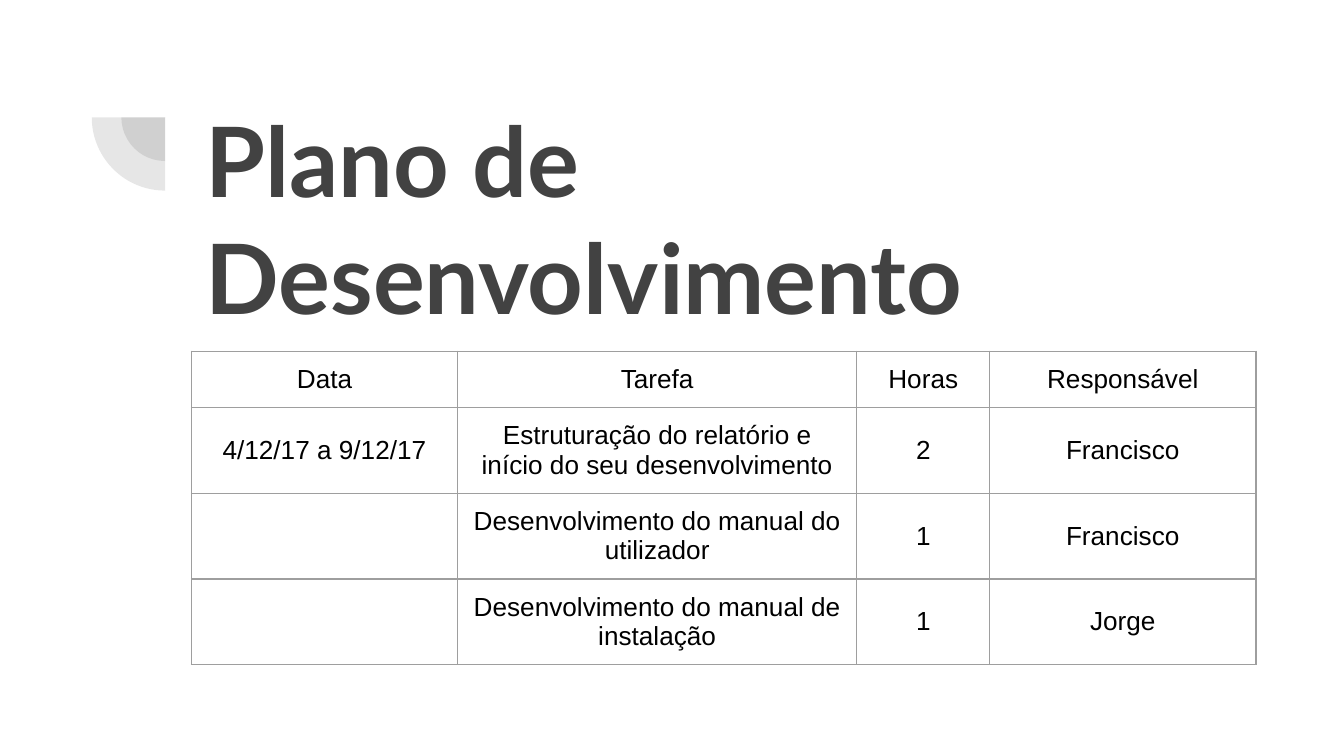
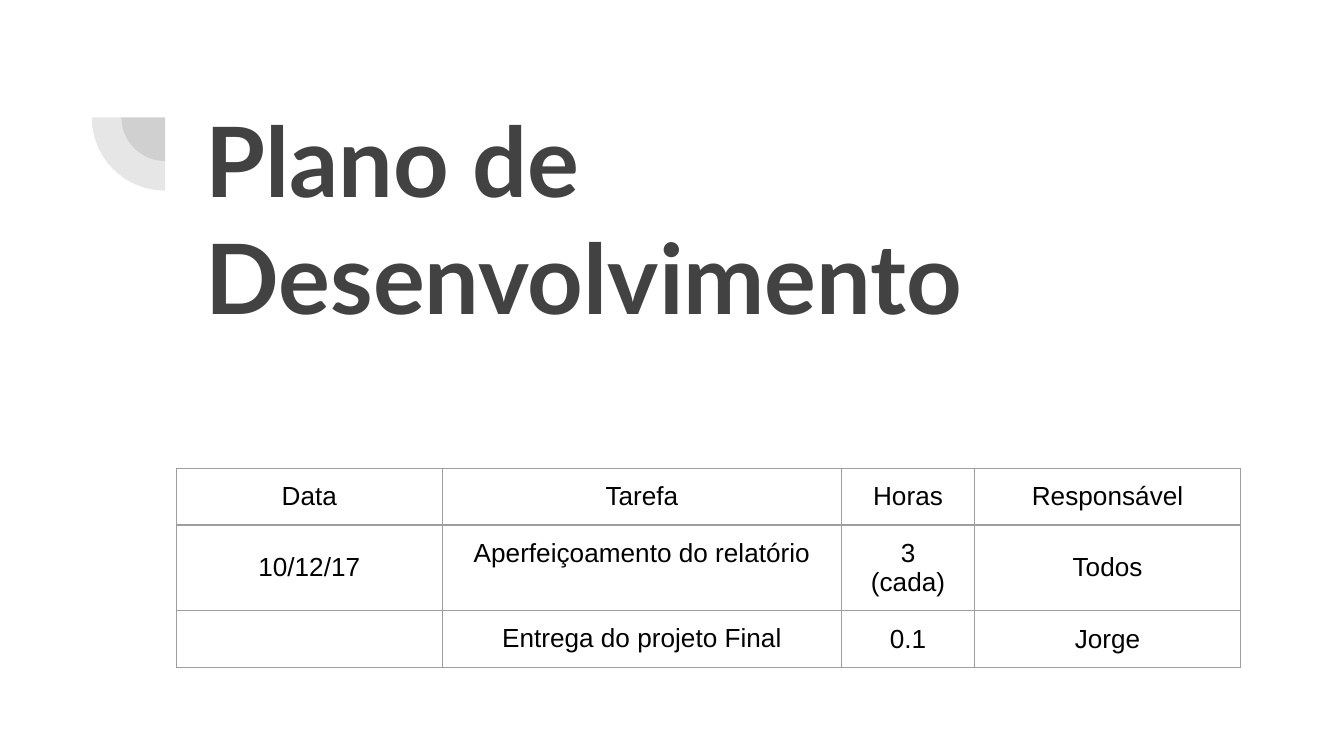
import pptx
import pptx.dml.color
import pptx.enum.shapes
import pptx.enum.text
import pptx.oxml
import pptx.oxml.ns
import pptx.util

INK = pptx.dml.color.RGBColor(0x42, 0x42, 0x42)
BLACK = pptx.dml.color.RGBColor(0x00, 0x00, 0x00)
RULE_GREY = pptx.dml.color.RGBColor(0x9E, 0x9E, 0x9E)
TITLE_FONT = "Lato"
TABLE_FONT = "Arial"

# The 16:9 slide is a grid of 100 columns; rows are as tall as columns are wide
SLIDE_COLUMNS, SLIDE_ROWS = 100, 56.25
UNIT = pptx.util.Inches(0.1)
INSET = UNIT

TITLE_BOX = (14.3, 6.5, 76.9, 10.9)
FAN_CENTRE = (12.28, 8.73)
FAN_DIAMETERS = (6.5, 10.9)
FAN_OPACITY = 13
TABLE_WIDTH = 79.2
COLUMN_SHARES = (2, 3, 1, 2)
ROW_HEIGHT = 4.2
TASK_COLUMN = 1

HEADER = ("Data", "Tarefa", "Horas", "Responsável")
PLANS = [
    ((14.25, 26.13), [
        ("4/12/17 a 9/12/17",
         "Estruturação do relatório e início do seu desenvolvimento",
         "2", "Francisco"),
        ("", "Desenvolvimento do manual do utilizador", "1", "Francisco"),
        ("", "Desenvolvimento do manual de instalação", "1", "Jorge"),
    ]),
    ((13.12, 34.87), [
        ("10/12/17", "Aperfeiçoamento do relatório", "3\n(cada)", "Todos"),
        ("", "Entrega do projeto Final", "0.1", "Jorge"),
    ]),
]


def grid(*counts):
    return [pptx.util.Emu(round(count * UNIT)) for count in counts]


def set_insets(holder):
    holder.margin_left = holder.margin_right = INSET
    holder.margin_top = holder.margin_bottom = INSET


def style_font(font, name, size, color, bold):
    font.name = name
    font.size = pptx.util.Pt(size)
    font.color.rgb = color
    font.bold = bold


def add_fan(slide, centre):
    """Two translucent quarter discs that share a centre."""
    for diameter in FAN_DIAMETERS:
        left, top = (place - diameter / 2 for place in centre)
        quarter = slide.shapes.add_shape(
            pptx.enum.shapes.MSO_SHAPE.PIE, *grid(left, top, diameter, diameter))
        quarter.adjustments[0] = 108
        quarter.adjustments[1] = 162
        quarter.rotation = 270
        quarter.shadow.inherit = False
        quarter.line.fill.background()
        quarter.fill.solid()
        quarter.fill.fore_color.rgb = INK
        color = quarter.fill._xPr.find(".//" + pptx.oxml.ns.qn("a:srgbClr"))
        color.append(pptx.oxml.parse_xml(
            f'<a:alpha {pptx.oxml.ns.nsdecls("a")} val="{FAN_OPACITY * 1000}"/>'))


def fill_title(slide, box, wording):
    title = slide.shapes.title
    title.left, title.top, title.width, title.height = grid(*box)
    frame = title.text_frame
    frame.text = wording
    frame.word_wrap = True
    frame.auto_size = pptx.enum.text.MSO_AUTO_SIZE.NONE
    frame.vertical_anchor = pptx.enum.text.MSO_ANCHOR.TOP
    set_insets(frame)
    heading = frame.paragraphs[0]
    heading.alignment = pptx.enum.text.PP_ALIGN.LEFT
    style_font(heading.font, TITLE_FONT, 52, INK, True)


def rule_cell(cell):
    """Draw a thin grey line on all four sides."""
    properties = cell._tc.get_or_add_tcPr()
    for position, side in enumerate(("lnL", "lnR", "lnT", "lnB")):
        properties.insert(position, pptx.oxml.parse_xml(
            f'<a:{side} {pptx.oxml.ns.nsdecls("a")} w="{pptx.util.Pt(0.75)}">'
            f'<a:solidFill><a:srgbClr val="{RULE_GREY}"/></a:solidFill></a:{side}>'))


def fill_cell(cell, wording, anchor):
    cell.text = wording
    cell.fill.background()
    cell.vertical_anchor = anchor
    set_insets(cell)
    rule_cell(cell)
    for paragraph in cell.text_frame.paragraphs:
        paragraph.alignment = pptx.enum.text.PP_ALIGN.CENTER
        style_font(paragraph.font, TABLE_FONT, 14, BLACK, False)


def add_plan(slide, corner, tasks):
    entries = [HEADER, *tasks]
    plan = slide.shapes.add_table(
        len(entries), len(HEADER),
        *grid(*corner, TABLE_WIDTH, ROW_HEIGHT * len(entries))).table
    plan.first_row = plan.horz_banding = False
    for column, share in zip(plan.columns, COLUMN_SHARES):
        column.width, = grid(TABLE_WIDTH * share / sum(COLUMN_SHARES))
    for row, entry in enumerate(entries):
        for column, wording in enumerate(entry):
            at_top = row == 0 or column == TASK_COLUMN
            anchor = (pptx.enum.text.MSO_ANCHOR.TOP if at_top
                      else pptx.enum.text.MSO_ANCHOR.MIDDLE)
            fill_cell(plan.cell(row, column), wording, anchor)


def add_plan_slide(deck, corner, tasks):
    slide = deck.slides.add_slide(deck.slide_layouts[5])
    add_fan(slide, FAN_CENTRE)
    fill_title(slide, TITLE_BOX, "Plano de Desenvolvimento")
    add_plan(slide, corner, tasks)


def main():
    deck = pptx.Presentation()
    deck.slide_width, deck.slide_height = grid(SLIDE_COLUMNS, SLIDE_ROWS)
    for corner, tasks in PLANS:
        add_plan_slide(deck, corner, tasks)
    deck.save("out.pptx")


if __name__ == "__main__":
    main()
